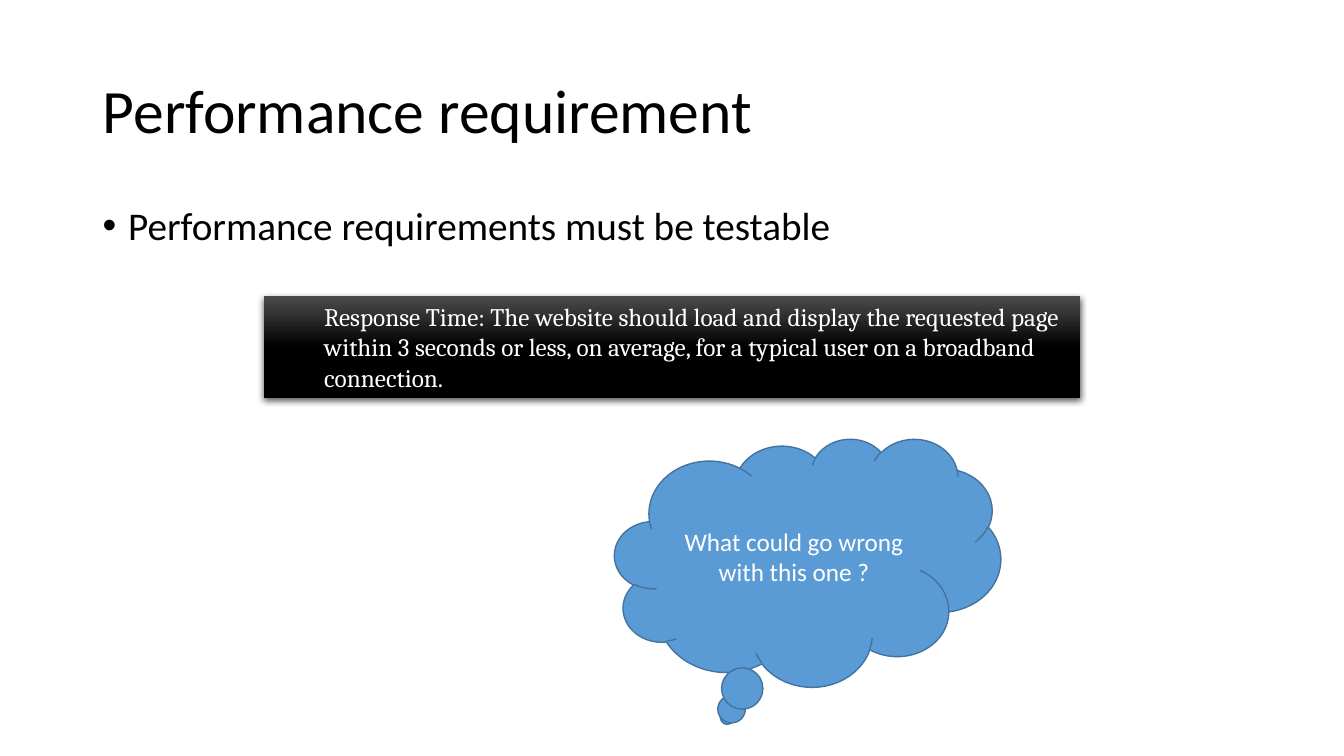
from copy import deepcopy

from pptx import Presentation
from pptx.dml.color import RGBColor
from pptx.enum.shapes import MSO_SHAPE
from pptx.enum.text import MSO_ANCHOR, MSO_AUTO_SIZE, PP_ALIGN
from pptx.oxml import parse_xml
from pptx.oxml.ns import nsdecls, qn
from pptx.util import Cm, Pt

BLACK = RGBColor(0x00, 0x00, 0x00)
WHITE = RGBColor(0xFF, 0xFF, 0xFF)
CHARCOAL = RGBColor(0x4B, 0x4B, 0x4B)
CLOUD_BLUE = RGBColor(0x5B, 0x9B, 0xD5)
CLOUD_EDGE = RGBColor(0x43, 0x73, 0x9E)

MARGIN = Cm(2.34)
CONTENT_WIDTH = Cm(29.21)
CONTENT_HEIGHT = Cm(3.68)


def write_text(shape, text, size=18, font="Calibri", color=BLACK, align=PP_ALIGN.LEFT,
               anchor=MSO_ANCHOR.TOP, line_spacing=1.0, left=Cm(0), bullet=None):
    """Fill the shape with one paragraph; a bullet hangs in the left indent."""
    frame = shape.text_frame
    frame.text = text
    frame.word_wrap = True
    frame.auto_size = MSO_AUTO_SIZE.NONE
    frame.vertical_anchor = anchor
    paragraph = frame.paragraphs[0]
    properties = paragraph._p.get_or_add_pPr()
    properties.set("marL", str(left))
    properties.set("indent", str(-left if bullet else 0))
    if bullet:
        properties.append(parse_xml(f'<a:buFont {nsdecls("a")} typeface="Arial"/>'))
        properties.append(parse_xml(f'<a:buChar {nsdecls("a")} char="{bullet}"/>'))
    paragraph.alignment = align
    paragraph.line_spacing = line_spacing
    run_font = paragraph.runs[0].font
    run_font.name = font
    run_font.size = Pt(size)
    run_font.color.rgb = color


def add_title(slide, text):
    title = slide.shapes.title
    title.left, title.top = MARGIN, Cm(1.02)
    title.width, title.height = CONTENT_WIDTH, CONTENT_HEIGHT
    write_text(title, text, size=44, anchor=MSO_ANCHOR.MIDDLE, line_spacing=0.9)


def add_bullet(slide, text):
    point = slide.shapes.add_textbox(MARGIN, Cm(5.08), CONTENT_WIDTH, CONTENT_HEIGHT)
    write_text(point, text, size=28, line_spacing=0.9, left=Cm(0.64), bullet="•")


def add_thought_cloud(slide, text):
    cloud = slide.shapes.add_shape(
        MSO_SHAPE.CLOUD_CALLOUT, Cm(15.49), Cm(11.05), Cm(9.73), Cm(6.25))
    cloud.shadow.inherit = False
    cloud.fill.solid()
    cloud.fill.fore_color.rgb = CLOUD_BLUE
    cloud.line.color.rgb = CLOUD_EDGE
    cloud.line.width = Pt(1)
    write_text(cloud, text, color=WHITE, align=PP_ALIGN.CENTER, anchor=MSO_ANCHOR.MIDDLE)


def fade_to_black(shape):
    """Shade from charcoal at the top to black from the middle down."""
    shape.fill.gradient()
    shape.fill.gradient_angle = 270
    top, middle = shape.fill.gradient_stops
    top.position, top.color.rgb = 0, CHARCOAL
    middle.position, middle.color.rgb = 0.5, BLACK
    stops = shape._element.spPr.find(".//" + qn("a:gsLst"))
    bottom = deepcopy(stops[-1])
    bottom.set("pos", "100000")
    stops.append(bottom)


def drop_shadow(shape):
    shape.shadow.inherit = False
    shape._element.spPr.find(qn("a:effectLst")).append(parse_xml(
        f'<a:outerShdw {nsdecls("a")} blurRad="{Pt(4.5)}" dist="{Pt(1.5)}" '
        'dir="5400000" algn="ctr" rotWithShape="0"><a:srgbClr val="000000">'
        '<a:alpha val="63000"/></a:srgbClr></a:outerShdw>'))


def add_example(slide, text):
    example = slide.shapes.add_shape(
        MSO_SHAPE.RECTANGLE, Cm(6.65), Cm(7.47), Cm(20.57), Cm(2.57))
    fade_to_black(example)
    example.line.fill.background()
    drop_shadow(example)
    write_text(example, text, font="Cambria", color=WHITE, left=Cm(1.27))


def main():
    deck = Presentation()
    deck.slide_width, deck.slide_height = Cm(33.87), Cm(19.05)
    slide = deck.slides.add_slide(deck.slide_layouts.get_by_name("Title Only"))
    add_title(slide, "Performance requirement")
    add_bullet(slide, "Performance requirements must be testable")
    add_thought_cloud(slide, "What could go wrong with this one ?")
    add_example(slide, "Response Time: The website should load and display the requested "
                       "page within 3 seconds or less, on average, for a typical user "
                       "on a broadband connection.")
    deck.save("out.pptx")


if __name__ == "__main__":
    main()
